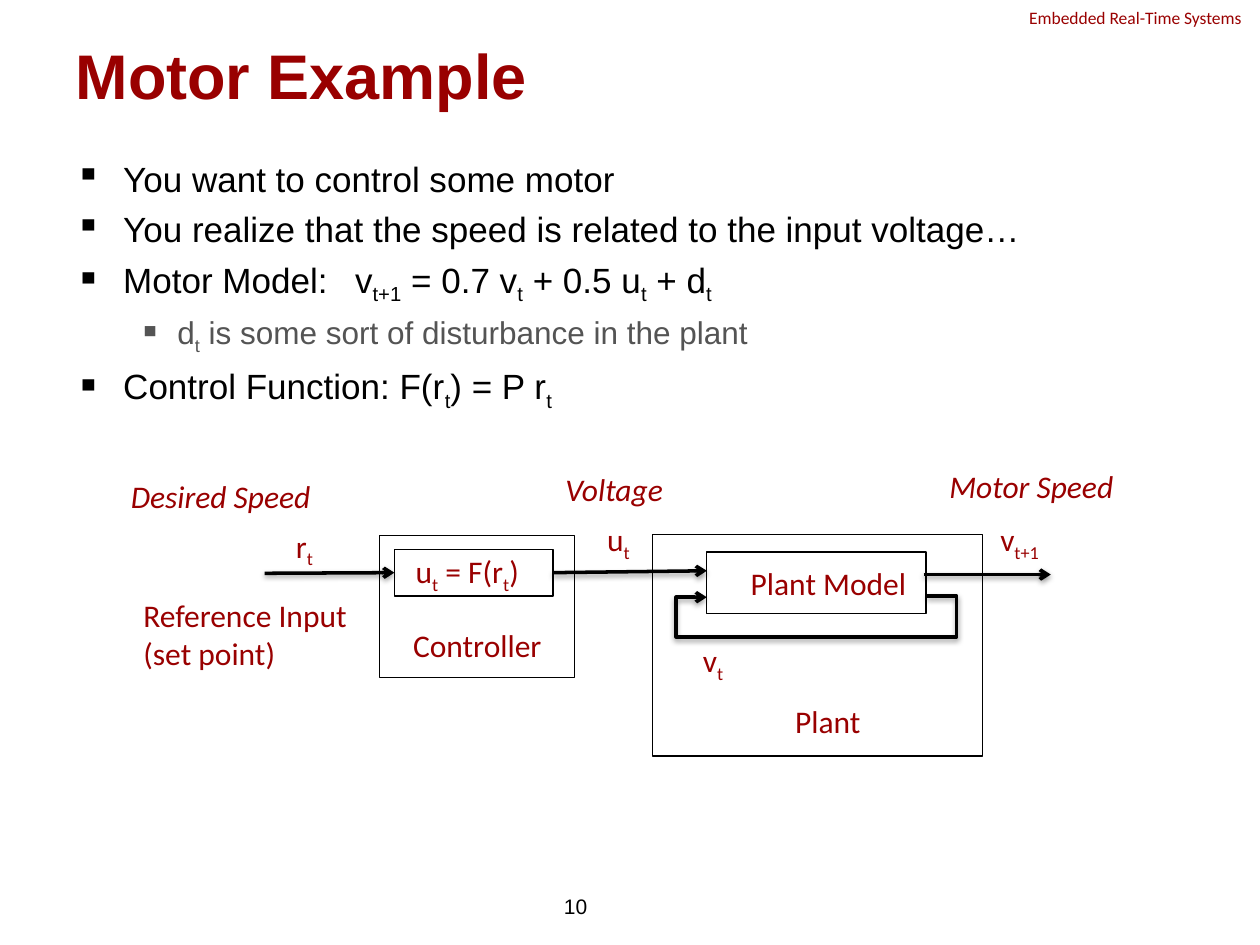
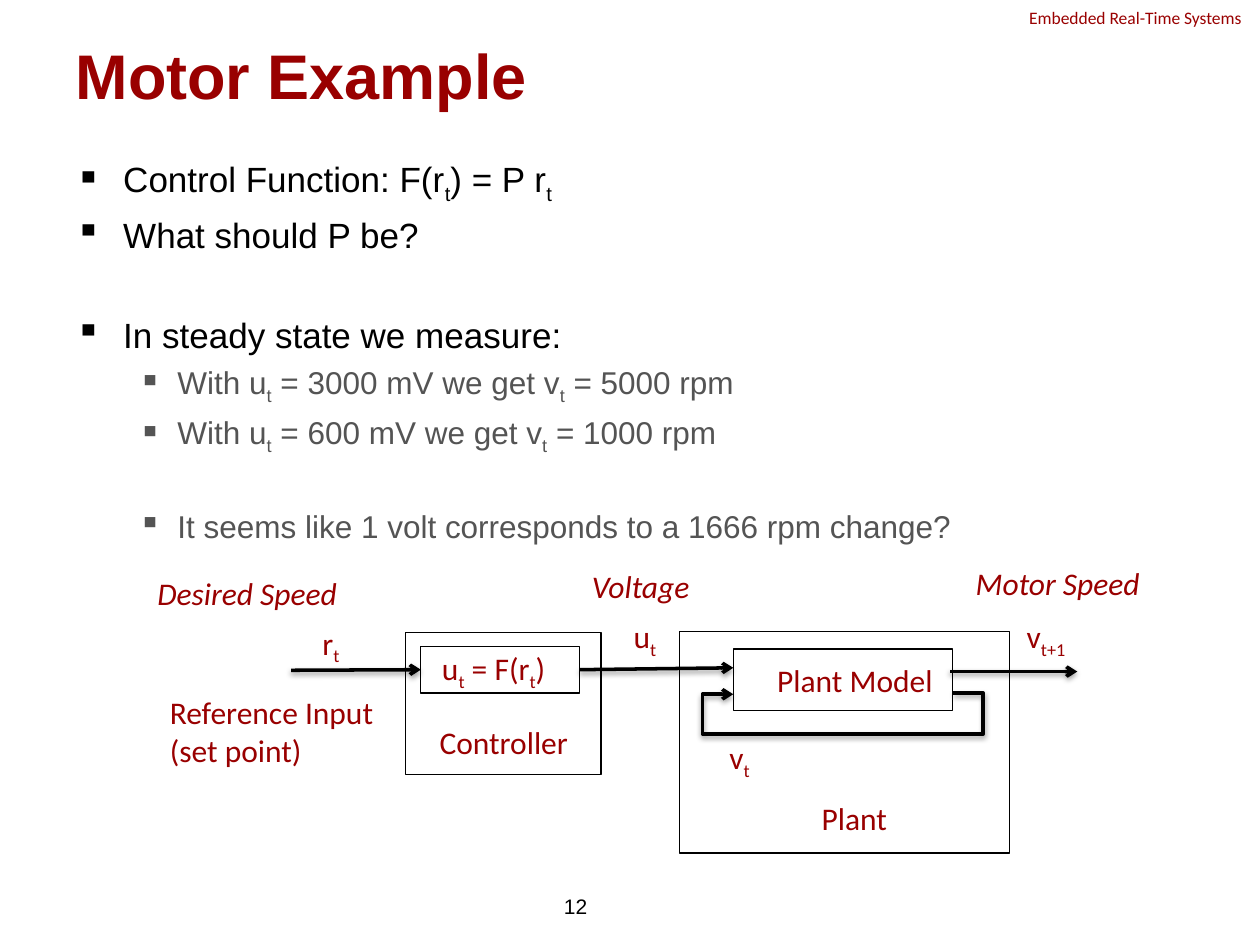
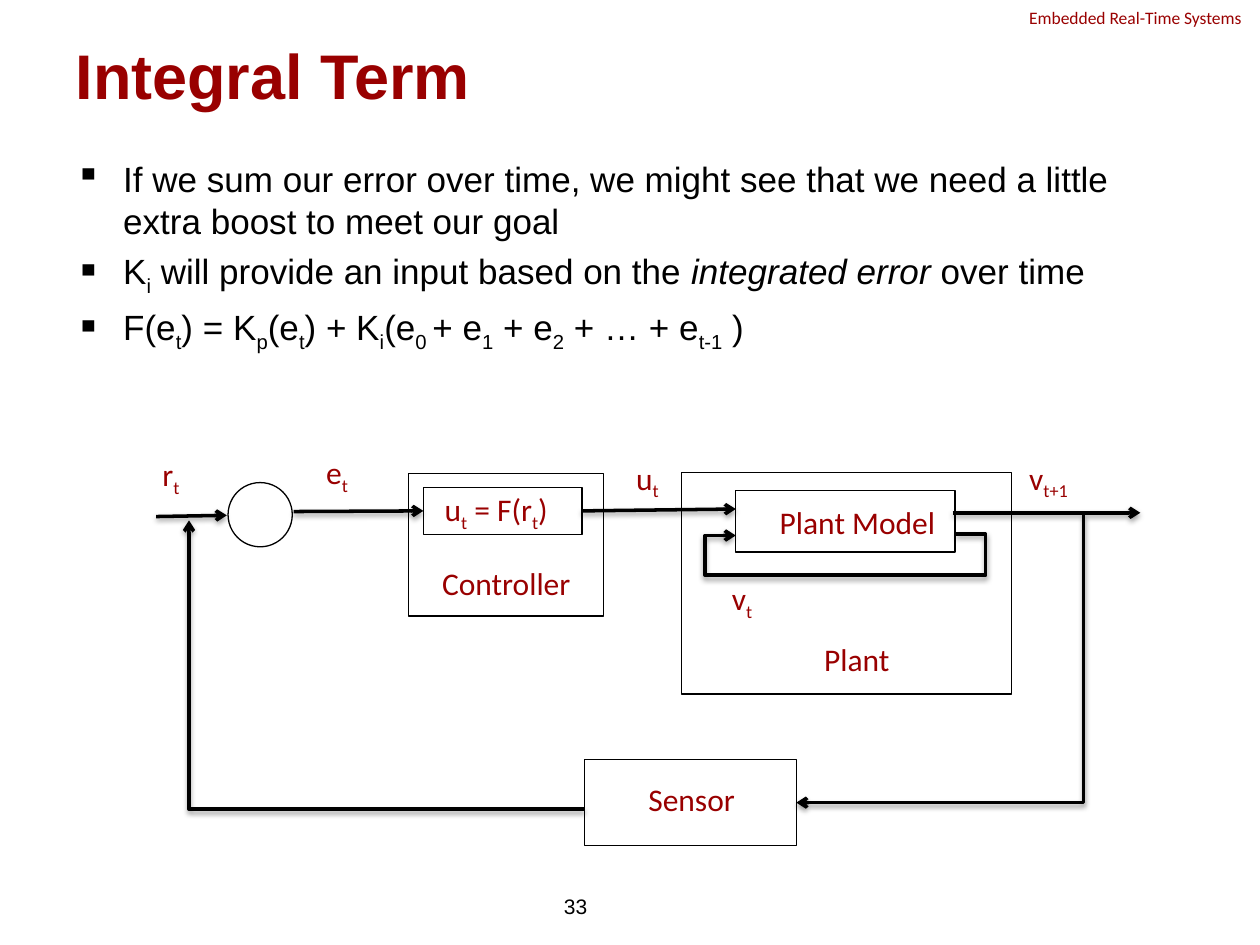
import lxml.etree
import pptx
import pptx.dml.color
import pptx.enum.shapes
import pptx.enum.text
import pptx.oxml
import pptx.oxml.ns
import pptx.util

Inches = pptx.util.Inches
Pt = pptx.util.Pt
ALIGN = pptx.enum.text.PP_ALIGN
SHAPE = pptx.enum.shapes.MSO_SHAPE
CONNECTOR = pptx.enum.shapes.MSO_CONNECTOR

COLORS = {"accent": "990000", "ink": "000000", "detail": "545454"}
BULLET_LEVELS = [
    {"margin": 0.38, "hang": 0.38, "size": 20, "color": "ink", "gap": 4.8},
    {"margin": 0.81, "hang": 0.31, "size": 18, "color": "detail", "gap": 4.3},
]
SHADOW = (
    '<a:effectLst %s><a:outerShdw blurRad="39370" dist="20320" dir="5400000" rotWithShape="0">'
    '<a:srgbClr val="%s"><a:alpha val="38000"/></a:srgbClr></a:outerShdw></a:effectLst>'
    % (pptx.oxml.ns.nsdecls("a"), COLORS["ink"])
)


def rgb(color):
    return pptx.dml.color.RGBColor.from_string(COLORS[color])


def add_xml(parent, tag, **attributes):
    return lxml.etree.SubElement(parent, pptx.oxml.ns.qn(tag), attributes)


def style_font(font, size, color, face, bold=False, italic=False):
    font.size = Pt(size)
    font.name = face
    font.bold = bold
    font.italic = italic
    font.color.rgb = rgb(color)


def write_marked(paragraph, text, size, color, face, italic=False):
    """Text between bars is subscript, text between asterisks is italic."""
    for i, piece in enumerate(text.split("|")):
        for j, words in enumerate(piece.split("*")):
            if not words:
                continue
            run = paragraph.add_run()
            run.text = words
            style_font(run.font, size, color, face, italic=italic or j % 2 == 1)
            if i % 2:
                run._r.get_or_add_rPr().set("baseline", "-25000")


def add_text(slide, text, left, top, width, height=0.4, size=18, color="accent",
             face="Calibri", align=ALIGN.LEFT, italic=False, middle=False):
    box = slide.shapes.add_textbox(Inches(left), Inches(top), Inches(width), Inches(height))
    frame = box.text_frame
    frame.word_wrap = True
    if middle:
        frame.vertical_anchor = pptx.enum.text.MSO_ANCHOR.MIDDLE
    frame.paragraphs[0].alignment = align
    write_marked(frame.paragraphs[0], text, size, color, face, italic)


def add_bullets(slide, items):
    box = slide.shapes.add_textbox(Inches(0.5), Inches(1.2), Inches(9), Inches(5.5))
    frame = box.text_frame
    frame.word_wrap = True
    for i, (level, text, *extra_gap) in enumerate(items):
        look = BULLET_LEVELS[level]
        paragraph = frame.add_paragraph() if i else frame.paragraphs[0]
        paragraph.level = level
        properties = paragraph._p.get_or_add_pPr()
        properties.set("marL", str(Inches(look["margin"])))
        properties.set("indent", str(-Inches(look["hang"])))
        add_xml(properties, "a:buChar", char="▪")
        if "\t" in text:
            tabs = add_xml(properties, "a:tabLst")
            add_xml(tabs, "a:tab", pos=str(Inches(2.22)), algn="l")
        if i:
            paragraph.space_before = Pt(extra_gap[0] if extra_gap else look["gap"])
        write_marked(paragraph, text, look["size"], look["color"], "Arial")


def add_outline(slide, left, top, width, height, kind=SHAPE.RECTANGLE):
    block = slide.shapes.add_shape(kind, Inches(left), Inches(top), Inches(width), Inches(height))
    block.shadow.inherit = False
    block.fill.background()
    block.line.color.rgb = rgb("ink")
    block.line.width = Pt(0.75)
    return block


def add_arrow(slide, start, end, kind=CONNECTOR.STRAIGHT):
    arrow = slide.shapes.add_connector(kind, *(Inches(value) for value in (*start, *end)))
    arrow.line.color.rgb = rgb("ink")
    arrow.line.width = Pt(2)
    add_xml(arrow.line._get_or_add_ln(), "a:tailEnd", type="arrow")
    arrow._element.spPr.append(pptx.oxml.parse_xml(SHADOW))
    return arrow


def add_bent_arrow(slide, start, end, preset, adjustments=(), rotation=0):
    arrow = add_arrow(slide, start, end, CONNECTOR.ELBOW)
    properties = arrow._element.spPr
    properties.xfrm.set("rot", str(rotation * 60000))
    geometry = properties.find(pptx.oxml.ns.qn("a:prstGeom"))
    geometry.set("prst", preset)
    guides = geometry.find(pptx.oxml.ns.qn("a:avLst"))
    if guides is None:
        guides = add_xml(geometry, "a:avLst")
    for i, ratio in enumerate(adjustments, 1):
        add_xml(guides, "a:gd", name=f"adj{i}", fmla=f"val {round(ratio * 100000)}")


def add_control_loop(slide, x, y, output_length=1.01):
    add_outline(slide, x, y, 1.55, 1.13)
    add_outline(slide, x + 2.17, y - 0.01, 2.62, 1.76)
    add_text(slide, "Controller", x + 0.17, y + 0.67, 1.38)
    add_text(slide, "Plant", x + 2.87, y + 1.27, 1.38, align=ALIGN.CENTER)
    control_function = add_outline(slide, x + 0.12, y + 0.11, 1.26, 0.37)
    add_outline(slide, x + 2.6, y + 0.13, 1.74, 0.49)
    add_text(slide, "u|t| = F(r|t|)", x + 0.19, y + 0.08, 1.23)
    add_text(slide, "Plant Model", x + 2.85, y + 0.18, 1.46)

    reference = add_arrow(slide, (x - 0.91, y + 0.3), (x + 0.12, y + 0.3))
    reference.end_connect(control_function, 1)
    voltage = add_arrow(slide, (x + 1.38, y + 0.28), (x + 2.6, y + 0.28))
    voltage.begin_connect(control_function, 3)
    add_arrow(slide, (x + 4.32, y + 0.31), (x + 4.32 + output_length, y + 0.31))
    add_bent_arrow(slide, (x + 4.34, y + 0.48), (x + 2.6, y + 0.49),
                   "bentConnector5", (-0.14, 33, 1.14))

    add_text(slide, "u|t|", x + 1.71, y - 0.17, 0.5)
    add_text(slide, "v|t+1|", x + 4.83, y - 0.17, 0.79)
    add_text(slide, "v|t|", x + 2.47, y + 0.79, 0.79)


def add_speed_labels(slide, x, y):
    add_text(slide, "r|t|", x - 0.76, y - 0.12, 0.5)
    add_text(slide, "Reference Input (set point)", x - 1.97, y + 0.43, 1.83, 0.71)
    add_text(slide, "Desired Speed", x - 2.07, y - 0.51, 1.83, italic=True)
    add_text(slide, "Voltage", x + 0.95, y - 0.57, 1.83, align=ALIGN.CENTER, italic=True)
    add_text(slide, "Motor Speed", x + 4.26, y - 0.59, 1.83, align=ALIGN.CENTER, italic=True)


def add_sensor_feedback(slide):
    add_text(slide, "r|t|", 1.19, 3.56, 0.5)
    add_text(slide, "e|t|", 2.49, 3.55, 0.5)
    add_outline(slide, 1.81, 3.83, 0.51, 0.51, SHAPE.OVAL)
    add_arrow(slide, (1.24, 4.1), (1.8, 4.09))
    add_outline(slide, 4.64, 6.03, 1.68, 0.68)
    add_text(slide, "Sensor", 4.76, 6.14, 1.46, align=ALIGN.CENTER)
    add_bent_arrow(slide, (6.32, 4.09), (8.6, 6.37), "bentConnector2", rotation=90)
    add_bent_arrow(slide, (1.5, 4.13), (4.64, 6.42), "bentConnector2", rotation=180)


def add_lecture_slide(deck, title, number, bullets):
    slide = deck.slides.add_slide(deck.slide_layouts[5])
    heading = slide.shapes.title
    heading.left, heading.top = Inches(0.5), Inches(0.3)
    heading.width, heading.height = Inches(9), Inches(0.58)
    frame = heading.text_frame
    frame.text = title
    frame.auto_size = pptx.enum.text.MSO_AUTO_SIZE.NONE
    frame.vertical_anchor = pptx.enum.text.MSO_ANCHOR.MIDDLE
    frame.paragraphs[0].alignment = ALIGN.LEFT
    style_font(frame.paragraphs[0].runs[0].font, 36, "accent", "Arial", bold=True)
    add_text(slide, "Embedded Real-Time Systems", 8.07, 0.01, 1.93, 0.27, size=10)
    add_text(slide, str(number), 2.43, 6.99, 2.33, size=12, color="ink", face="Arial",
             align=ALIGN.RIGHT, middle=True)
    add_bullets(slide, bullets)
    return slide


def main():
    deck = pptx.Presentation()
    deck.slide_width, deck.slide_height = Inches(10), Inches(7.5)

    motor_model = add_lecture_slide(deck, "Motor Example", 10, [
        (0, "You want to control some motor"),
        (0, "You realize that the speed is related to the input voltage…"),
        (0, "Motor Model:\tv|t+1| = 0.7 v|t| + 0.5 u|t| + d|t|"),
        (1, "d|t| is some sort of disturbance in the plant"),
        (0, "Control Function: F(r|t|) = P r|t|"),
    ])
    add_control_loop(motor_model, 3.01, 4.25)
    add_speed_labels(motor_model, 3.01, 4.25)

    steady_state = add_lecture_slide(deck, "Motor Example", 12, [
        (0, "Control Function: F(r|t|) = P r|t|"),
        (0, "What should P be?"),
        (0, "In steady state we measure:", 33),
        (1, "With u|t| = 3000 mV we get v|t| = 5000 rpm"),
        (1, "With u|t| = 600 mV we get v|t| = 1000 rpm"),
        (1, "It seems like 1 volt corresponds to a 1666 rpm change?", 29),
    ])
    add_control_loop(steady_state, 3.22, 5.02)
    add_speed_labels(steady_state, 3.22, 5.02)

    integral_term = add_lecture_slide(deck, "Integral Term", 33, [
        (0, "If we sum our error over time, we might see that we need a little "
            "extra boost to meet our goal"),
        (0, "K|i| will provide an input based on the *integrated error *over time"),
        (0, "F(e|t|) = K|p|(e|t|) + K|i|(e|0 |+ e|1| + e|2| + … + e|t-1| )"),
    ])
    add_control_loop(integral_term, 3.24, 3.76, output_length=1.49)
    add_sensor_feedback(integral_term)

    deck.save("out.pptx")


if __name__ == "__main__":
    main()
